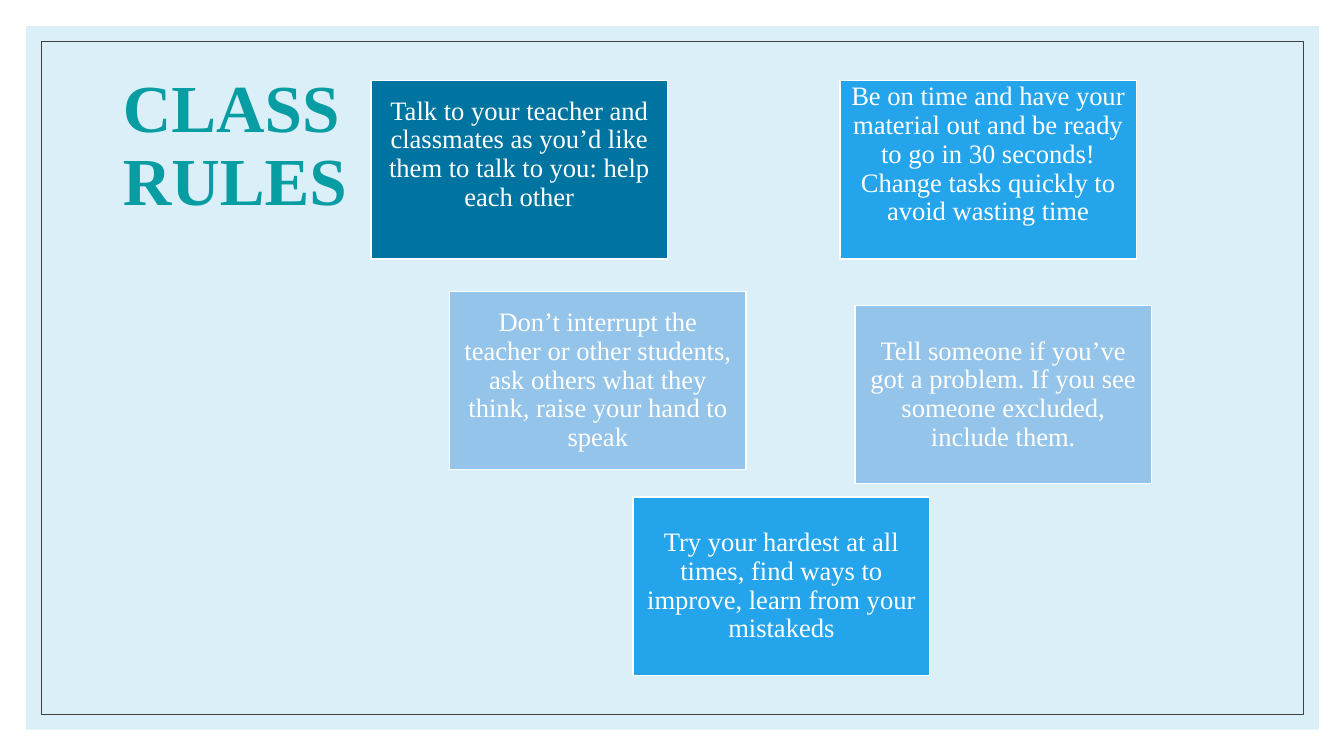
from dataclasses import dataclass

from pptx import Presentation
from pptx.dml.color import RGBColor
from pptx.enum.shapes import MSO_SHAPE as Shape
from pptx.enum.text import MSO_ANCHOR as Anchor, PP_ALIGN as Align
from pptx.util import Inches, Pt


@dataclass(frozen=True)
class Theme:
    font: str = "Times New Roman"
    panel: str = "DBEFF9"
    frame: str = "404040"
    title: str = "089CA3"
    white: str = "FFFFFF"
    deep: str = "0074A1"
    bright: str = "24A4EB"
    pale: str = "94C4E9"
    title_size: int = 48
    body_size: int = 19


class SlideBuilder:
    def __init__(self, slide, theme):
        self.slide = slide
        self.theme = theme

    def rect(self, x, y, w, h, fill=None, line=None, weight=1):
        s = self.slide.shapes.add_shape(
            Shape.RECTANGLE, Inches(x), Inches(y), Inches(w), Inches(h))
        s.shadow.inherit = False
        if fill:
            s.fill.solid()
            s.fill.fore_color.rgb = RGBColor.from_string(fill)
        else:
            s.fill.background()
        if line:
            s.line.color.rgb = RGBColor.from_string(line)
            s.line.width = Pt(weight)
        else:
            s.line.fill.background()
        return s

    def set_text(self, tf, text, size, color, align, bold=False):
        tf.text = text
        tf.word_wrap = True
        tf.vertical_anchor = Anchor.MIDDLE
        p = tf.paragraphs[0]
        p.alignment = align
        p.line_spacing = 0.9
        font = p.runs[0].font
        font.name = self.theme.font
        font.size = Pt(size)
        font.bold = bold
        font.color.rgb = RGBColor.from_string(color)

    def title(self, text, x, y, w, h):
        box = self.slide.shapes.add_textbox(
            Inches(x), Inches(y), Inches(w), Inches(h))
        self.set_text(box.text_frame, text, self.theme.title_size,
                      self.theme.title, Align.LEFT, bold=True)

    def card(self, text, x, y, fill, raised=False):
        s = self.rect(x, y, 2.94, 1.77, fill, self.theme.white)
        tf = s.text_frame
        tf.margin_left = tf.margin_right = Inches(0.08)
        tf.margin_top = Inches(0 if raised else 0.08)
        tf.margin_bottom = Inches(0.3 if raised else 0.08)
        self.set_text(tf, text, self.theme.body_size, self.theme.white, Align.CENTER)


def main():
    prs = Presentation()
    prs.slide_width = Inches(13.33)
    prs.slide_height = Inches(7.5)
    theme = Theme()
    page = SlideBuilder(prs.slides.add_slide(prs.slide_layouts[6]), theme)

    page.rect(0.26, 0.26, 12.82, 6.98, fill=theme.panel)
    page.rect(0.41, 0.41, 12.52, 6.68, line=theme.frame, weight=0.5)
    page.title("CLASS RULES", 1.12, 0.64, 3.11, 1.64)

    rules = [
        ("Talk to your teacher and classmates as you’d like them to talk to you: "
         "help each other", 3.68, 0.8, theme.deep, True),
        ("Be on time and have your material out and be ready to go in 30 seconds! "
         "Change tasks quickly to avoid wasting time", 8.33, 0.8, theme.bright, True),
        ("Don’t interrupt the teacher or other students, ask others what they "
         "think, raise your hand to speak", 4.46, 2.89, theme.pale, False),
        ("Tell someone if you’ve got a problem. If you see someone excluded, "
         "include them.", 8.48, 3.03, theme.pale, False),
        ("Try your hardest at all times, find ways to improve, learn from your "
         "mistakeds", 6.28, 4.93, theme.bright, False),
    ]
    for rule in rules:
        page.card(*rule)

    prs.save("out.pptx")


if __name__ == "__main__":
    main()
